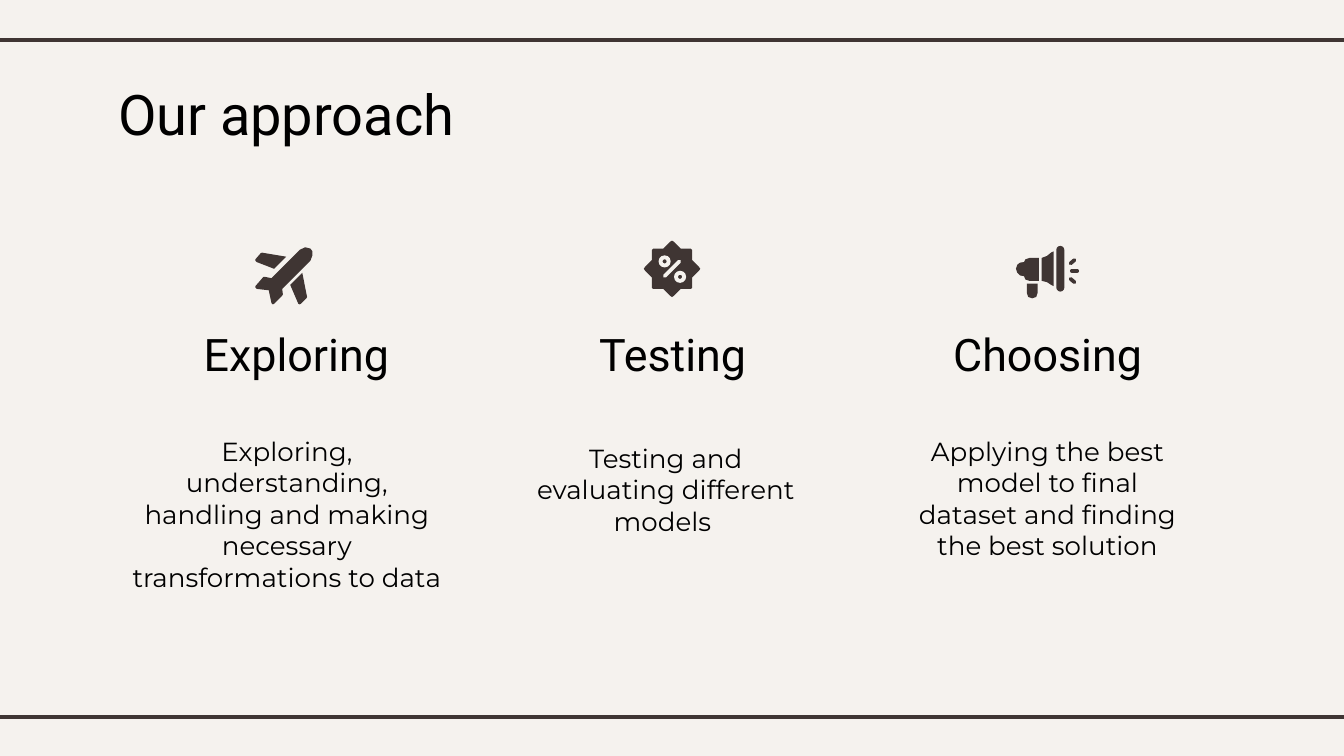
import pptx
import pptx.dml.color
import pptx.enum.shapes
import pptx.enum.text
import pptx.oxml
import pptx.oxml.ns
import pptx.util
from dataclasses import dataclass

Inches = pptx.util.Inches
Pt = pptx.util.Pt
Shape = pptx.enum.shapes.MSO_SHAPE
Align = pptx.enum.text.PP_ALIGN

# Widescreen page
PAGE_WIDTH = 10
PAGE_HEIGHT = PAGE_WIDTH * 9 / 16


@dataclass(frozen=True)
class Theme:
    paper: str = "F5F2EE"
    dark: str = "3F3533"
    ink: str = "000000"
    heading_font: str = "Roboto"
    body_font: str = "Montserrat"
    title_size: int = 30
    heading_size: int = 24
    body_size: int = 14
    rule_width: float = 2.25
    stroke_width: float = 2


THEME = Theme()


def rgb(value):
    return pptx.dml.color.RGBColor.from_string(value)


def paint(shape, color):
    shape.shadow.inherit = False
    shape.fill.solid()
    shape.fill.fore_color.rgb = rgb(color)
    shape.line.fill.background()


def add_line(shapes, start, end, color, width, cap="flat"):
    line = shapes.add_connector(
        pptx.enum.shapes.MSO_CONNECTOR.STRAIGHT,
        *(Inches(value) for value in (*start, *end)))
    line.line.color.rgb = rgb(color)
    line.line.width = Pt(width)
    properties = line.element.spPr
    properties.find(pptx.oxml.ns.qn("a:ln")).set("cap", cap)
    properties.append(pptx.oxml.parse_xml(
        f'<a:effectLst {pptx.oxml.ns.nsdecls("a")}/>'))


def add_text(page, box, text, font, size, align=Align.CENTER):
    frame = page.shapes.add_textbox(*(Inches(value) for value in box)).text_frame
    frame.word_wrap = True
    frame.margin_left = frame.margin_right = Inches(0.1)
    frame.margin_top = frame.margin_bottom = Inches(0.1)
    para = frame.paragraphs[0]
    para.text = text
    para.alignment = align
    para.font.name = font
    para.font.size = Pt(size)
    para.font.color.rgb = rgb(THEME.ink)


# Icon parts are measured in hundredths of an inch from the icon's corner
def place(corner, point):
    return corner[0] + point[0] / 100, corner[1] + point[1] / 100


def add_outline(icon, corner, points):
    spots = [tuple(Inches(value) for value in place(corner, point))
             for point in points]
    builder = icon.shapes.build_freeform(*spots[0])
    builder.add_line_segments(spots[1:], close=True)
    paint(builder.convert_to_shape(), THEME.dark)


def add_preset(icon, corner, kind, box, color, adjustment):
    left, top = place(corner, box[:2])
    shape = icon.shapes.add_shape(
        kind, Inches(left), Inches(top), Inches(box[2] / 100), Inches(box[3] / 100))
    shape.adjustments[0] = adjustment
    paint(shape, color)


def add_stroke(icon, corner, start, end, color):
    add_line(icon.shapes, place(corner, start), place(corner, end),
             color, THEME.stroke_width, "rnd")


def draw_plane(page, corner):
    icon = page.shapes.add_group_shape()
    fuselage = [(37, 0), (41, 1), (42.5, 3), (42.5, 6), (41, 10), (20, 31),
                (20.5, 35), (20, 36), (14, 42), (13, 42.5), (12, 41.5),
                (10, 32), (1, 31), (0, 30), (0, 29), (6, 22), (7, 22),
                (12, 23), (33, 2)]
    left_wing = [(5, 4), (23, 7), (14, 16), (1, 11), (0, 10), (0, 9), (4, 4.5)]
    right_wing = [(35, 19), (26, 28), (32, 42), (33, 42.5), (34, 42),
                  (38, 38), (38.5, 37)]
    for outline in (fuselage, left_wing, right_wing):
        add_outline(icon, corner, outline)


def draw_badge(page, corner):
    icon = page.shapes.add_group_shape()
    # One quarter of the eight-pointed edge, turned about the centre
    quarter = [(0, -21), (1.5, -20), (6.5, -15), (14, -15), (15, -14),
               (15, -6.5), (20, -1.5)]
    edge = []
    for _ in range(4):
        edge += quarter
        quarter = [(-y, x) for x, y in quarter]
    add_outline(icon, corner, [(21 + x, 21 + y) for x, y in edge])
    # Percent sign
    for offset in (11, 22.5):
        add_preset(icon, corner, Shape.DONUT, (offset, offset, 9, 9),
                   THEME.paper, 0.33)
    add_stroke(icon, corner, (15.5, 26.5), (26.5, 15.5), THEME.paper)


def draw_megaphone(page, corner):
    icon = page.shapes.add_group_shape()
    back = [(17, 9), (10, 9), (7, 10), (6, 12), (3, 12.5), (1, 14), (0, 17),
            (1, 20), (3, 22), (6, 22.5), (7, 25), (10, 26), (17, 26)]
    horn = [(28, 4), (26, 5), (23, 7.5), (19, 9), (19, 26), (23, 27),
            (26, 29), (28, 30)]
    grip = [(8, 28), (16, 28), (16, 35), (15, 38), (12, 39), (9, 38), (8, 35)]
    for outline in (back, horn, grip):
        add_outline(icon, corner, outline)
    add_preset(icon, corner, Shape.ROUNDED_RECTANGLE, (30, 0, 6, 34),
               THEME.dark, 0.5)
    # Sound rays
    for start, end in (((40.5, 13), (43.5, 10.5)),
                       ((41.5, 18.5), (45.5, 18.5)),
                       ((40.5, 24.5), (43.5, 27))):
        add_stroke(icon, corner, start, end, THEME.dark)


def draw_frame(page, width, height):
    for level in (0.3, height - 0.29):
        add_line(page.shapes, (-0.08, level), (width + 0.08, level),
                 THEME.dark, THEME.rule_width)


def draw_step(page, corner, heading, body, body_box, draw_icon, icon_offset):
    left, top = corner
    draw_icon(page, (left + icon_offset[0], top + icon_offset[1]))
    add_text(page, (left, top, 2.33, 0.49), heading,
             THEME.heading_font, THEME.heading_size)
    shift, drop, width, height = body_box
    add_text(page, (left + shift, top + drop, width, height), body,
             THEME.body_font, THEME.body_size)


# Column left, heading, body, body box, icon and its offset from the column corner
STEPS = [
    (1.04, "Exploring",
     "Exploring, understanding, handling and making necessary transformations to data",
     (-0.2, 0.81, 2.59, 1.32), draw_plane, (0.86, -0.49)),
    (3.84, "Testing", "Testing and evaluating different models ",
     (-0.05, 0.86, 2.33, 0.89), draw_badge, (0.95, -0.54)),
    (6.63, "Choosing",
     "Applying the best model to final dataset and finding the best solution",
     (0, 0.81, 2.33, 0.89), draw_megaphone, (0.93, -0.5)),
]


def main():
    deck = pptx.Presentation()
    deck.slide_width, deck.slide_height = Inches(PAGE_WIDTH), Inches(PAGE_HEIGHT)
    page = deck.slides.add_slide(deck.slide_layouts[6])
    page.background.fill.solid()
    page.background.fill.fore_color.rgb = rgb(THEME.paper)

    draw_frame(page, PAGE_WIDTH, PAGE_HEIGHT)
    add_text(page, (0.78, 0.49, 7.28, 0.63), "Our approach",
             THEME.heading_font, THEME.title_size, Align.LEFT)
    for left, *step in STEPS:
        draw_step(page, (left, 2.33), *step)
    deck.save("out.pptx")


if __name__ == "__main__":
    main()
